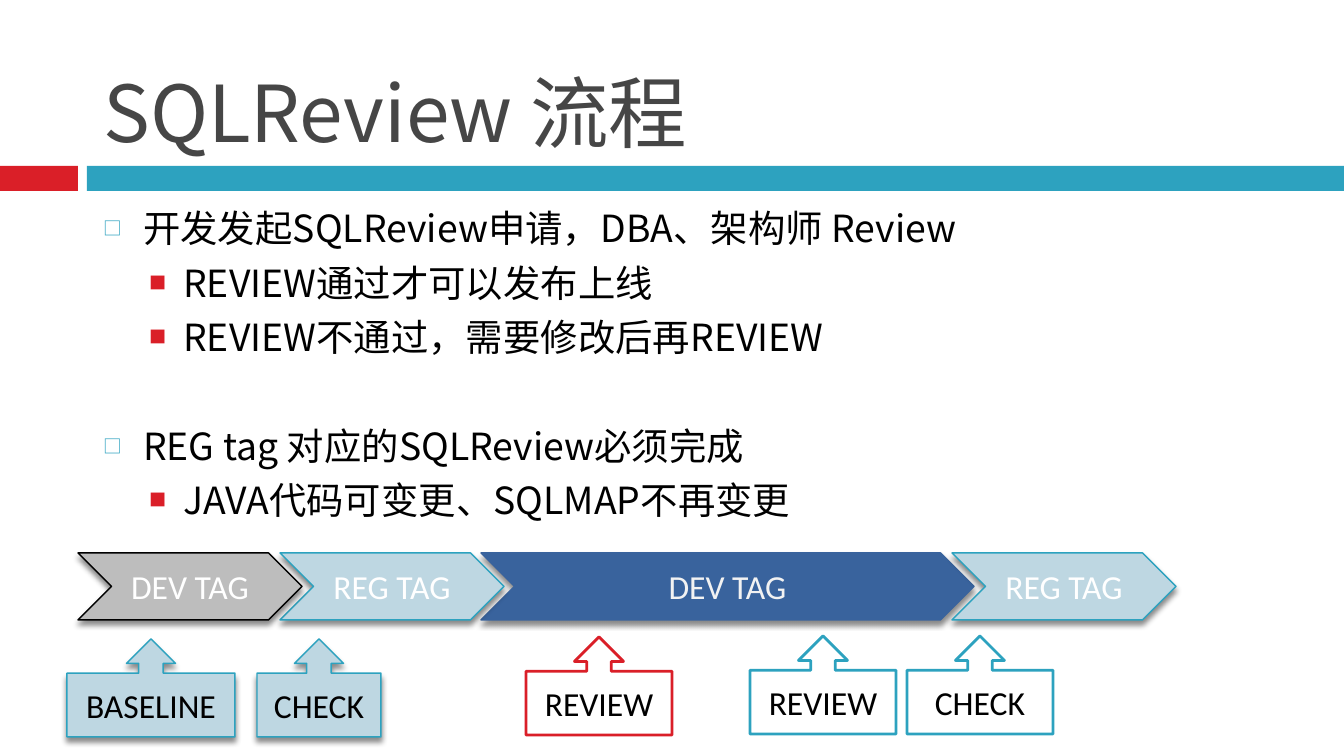
from lxml.etree import SubElement
from pptx import Presentation
from pptx.dml.color import RGBColor
from pptx.enum.shapes import MSO_SHAPE
from pptx.enum.text import MSO_ANCHOR, MSO_AUTO_SIZE, PP_ALIGN
from pptx.oxml.ns import qn
from pptx.util import Pt

SCALE = 9144000 / 1344
CJK = "Noto Sans CJK SC"
TEAL, RED, PALE, GRAY, BLUE = "2DA2BF", "DA1F28", "BED7E2", "BDBDBD", "39639D"
BLACK, WHITE = "000000", "FFFFFF"

CHEVRON_TOP, CHEVRON_H, CALLOUT_H = 553, 67, 98
# left, width, label, fill, line, text colour
CHEVRONS = [
    (481, 493, "DEV TAG", BLUE, BLUE, "F2F2F2"),
    (952, 224, "REG TAG", PALE, TEAL, WHITE),
    (280, 224, "REG TAG", PALE, TEAL, WHITE),
    (78, 224, "DEV TAG", GRAY, BLACK, WHITE),
]
# left, top, width, label, fill, line, raised
CALLOUTS = [
    (67, 639, 168, "BASELINE", PALE, TEAL, True),
    (257, 639, 124, "CHECK", PALE, TEAL, True),
    (526, 637, 146, "REVIEW", WHITE, RED, False),
    (750, 636, 146, "REVIEW", WHITE, TEAL, False),
    (907, 636, 146, "CHECK", WHITE, TEAL, False),
]
# level, space before in points, text
BULLETS = [
    (1, 5.5, "开发发起SQLReview申请，DBA、架构师 Review"),
    (2, 5, "REVIEW通过才可以发布上线"),
    (2, 5, "REVIEW不通过，需要修改后再REVIEW"),
    (1, 34.5, "REG tag 对应的SQLReview必须完成"),
    (2, 5, "JAVA代码可变更、SQLMAP不再变更"),
]
# left margin, indent, character, colour, size in percent
BULLET_STYLES = {1: (40, -40, "□", TEAL, 50), 2: (80, -34, "■", RED, 46)}


def px(n):
    return round(n * SCALE)


def rgb(color):
    return RGBColor.from_string(color)


def add_text(p, text, size=20, font=CJK, color=BLACK, align=PP_ALIGN.LEFT):
    p.alignment = align
    r = p.add_run()
    r.text = text
    r.font.size = Pt(size)
    r.font.name = font
    r.font.color.rgb = rgb(color)
    SubElement(r.font._element, qn("a:ea"), typeface=font)


def add_shadow(sp):
    effects = sp._element.spPr.find(qn("a:effectLst"))
    shadow = SubElement(effects, qn("a:outerShdw"), blurRad=str(Pt(3)),
                        dist=str(Pt(2.4)), dir="5400000", rotWithShape="0")
    color = SubElement(shadow, qn("a:srgbClr"), val=BLACK)
    SubElement(color, qn("a:alpha"), val="45000")


def add_box(s, kind, left, top, width, height, fill, line=None, weight=0.79,
            raised=False):
    sp = s.shapes.add_shape(kind, px(left), px(top), px(width), px(height))
    sp.shadow.inherit = False
    sp.fill.solid()
    sp.fill.fore_color.rgb = rgb(fill)
    if line:
        sp.line.color.rgb = rgb(line)
        sp.line.width = Pt(weight)
    else:
        sp.line.fill.background()
    if raised:
        add_shadow(sp)
    return sp


def add_label(sp, text, color=BLACK):
    tf = sp.text_frame
    tf.vertical_anchor = MSO_ANCHOR.MIDDLE
    add_text(tf.paragraphs[0], text, size=18, font="Calibri", color=color,
             align=PP_ALIGN.CENTER)


def set_title(s, text):
    title = s.shapes.title
    title.left, title.top, title.width, title.height = map(px, (90, 17, 1199, 148))
    tf = title.text_frame
    tf.auto_size = MSO_AUTO_SIZE.NONE
    tf.vertical_anchor = MSO_ANCHOR.BOTTOM
    add_text(tf.paragraphs[0], text, size=42, color="464646")


def set_bullet(p, level):
    margin, indent, char, color, size = BULLET_STYLES[level]
    pPr = p._p.get_or_add_pPr()
    pPr.set("marL", str(px(margin)))
    pPr.set("indent", str(px(indent)))
    SubElement(SubElement(pPr, qn("a:buClr")), qn("a:srgbClr"), val=color)
    SubElement(pPr, qn("a:buSzPct"), val=str(size * 1000))
    SubElement(pPr, qn("a:buFont"), typeface=CJK)
    SubElement(pPr, qn("a:buChar"), char=char)


def add_bullets(s):
    tf = s.shapes.add_textbox(px(90), px(199), px(1163), px(336)).text_frame
    tf.word_wrap = True
    for i, (level, before, text) in enumerate(BULLETS):
        p = tf.add_paragraph() if i else tf.paragraphs[0]
        p.level = level - 1
        p.space_before = Pt(before)
        set_bullet(p, level)
        add_text(p, text)


def main():
    prs = Presentation()
    prs.slide_width, prs.slide_height = px(1344), px(756)
    s = prs.slides.add_slide(prs.slide_layouts[5])

    for left, width, color in ((0, 78, RED), (87, 1257, TEAL)):
        add_box(s, MSO_SHAPE.RECTANGLE, left, 166, width, 25, color)
    set_title(s, "SQLReview 流程")
    add_bullets(s)

    for left, width, label, fill, line, color in CHEVRONS:
        sp = add_box(s, MSO_SHAPE.CHEVRON, left, CHEVRON_TOP, width, CHEVRON_H,
                     fill, line, raised=True)
        add_label(sp, label, color)
    for left, top, width, label, fill, line, raised in CALLOUTS:
        sp = add_box(s, MSO_SHAPE.UP_ARROW_CALLOUT, left, top, width, CALLOUT_H,
                     fill, line, 0.79 if raised else 1.5, raised)
        add_label(sp, label)

    prs.save("out.pptx")


if __name__ == "__main__":
    main()
